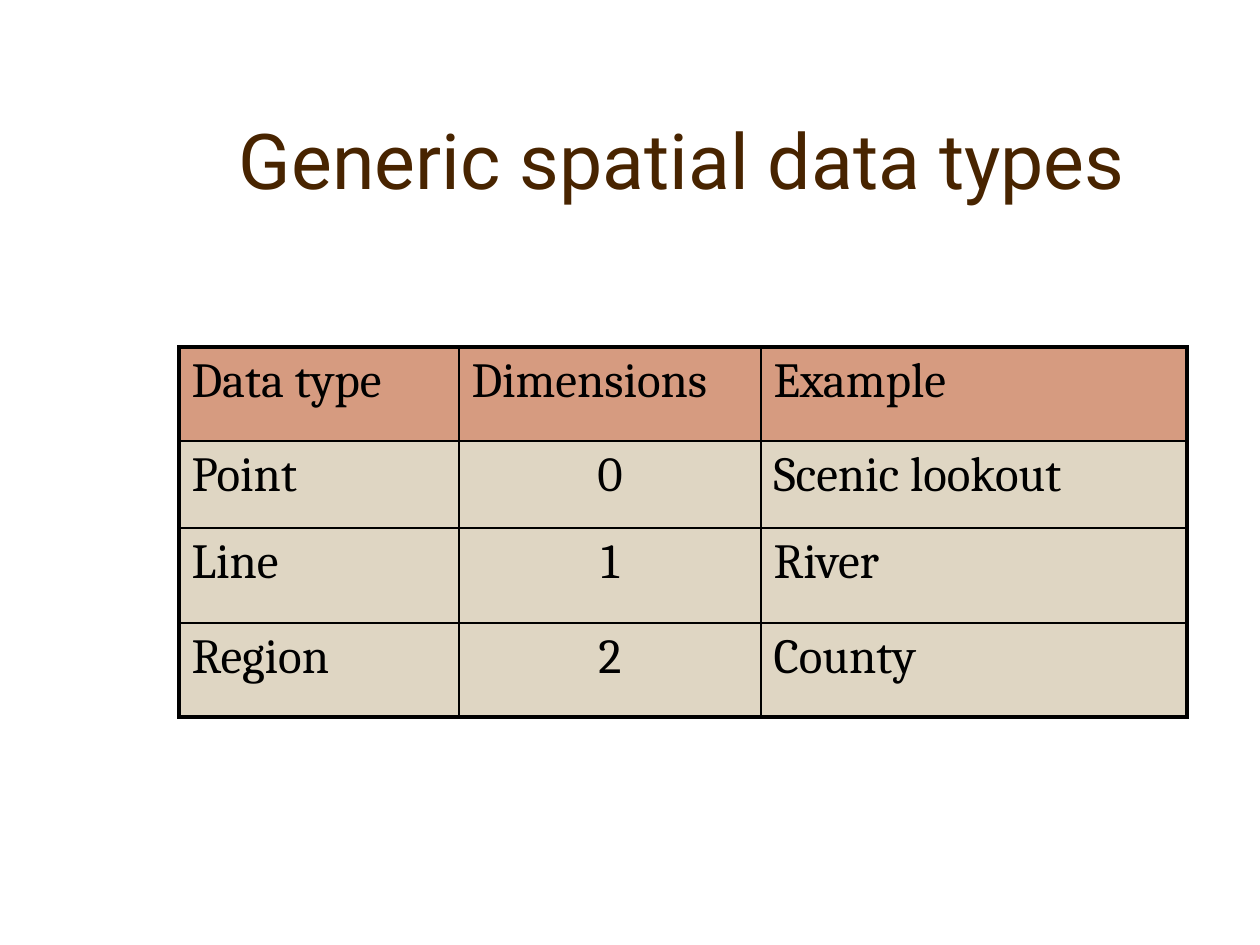
from lxml import etree
from pptx import Presentation
from pptx.dml.color import RGBColor
from pptx.enum.text import MSO_ANCHOR, MSO_AUTO_SIZE, PP_ALIGN
from pptx.oxml.ns import qn
from pptx.util import Inches, Pt

BOTTOM = MSO_ANCHOR.BOTTOM
NO_FIT = MSO_AUTO_SIZE.NONE
LEFT, CENTER = PP_ALIGN.LEFT, PP_ALIGN.CENTER

BLACK, BROWN = "000000", "482400"
HEADER_FILL, BODY_FILL = "D69B80", "DFD6C3"
OUTER, INNER = 2.25, 1

COL_WIDTHS = [280, 302, 426]
ROW_HEIGHTS = [94, 87, 95, 94]
ROWS = [
    ["Data type", "Dimensions", "Example"],
    ["Point", "0", "Scenic lookout"],
    ["Line", "1", "River"],
    ["Region", "2", "County"],
]


def px(n):
    return round(n * Inches(1) / 126)


def rgb(color):
    return RGBColor.from_string(color)


def style(p, font, size, color, align):
    p.alignment = align
    for r in p.runs:
        r.font.name = font
        r.font.size = Pt(size)
        r.font.color.rgb = rgb(color)


def set_space_before(p, percent):
    pPr = p._p.get_or_add_pPr()
    space = etree.SubElement(pPr, qn("a:spcBef"))
    etree.SubElement(space, qn("a:spcPct"), val=str(percent * 1000))


def set_borders(cell, widths):
    """Widths in points by side; the lines go before the fill in the XML."""
    tcPr = cell._tc.get_or_add_tcPr()
    for i, (side, width) in enumerate(widths.items()):
        ln = etree.Element(qn("a:ln" + side), w=str(Pt(width)))
        fill = etree.SubElement(ln, qn("a:solidFill"))
        etree.SubElement(fill, qn("a:srgbClr"), val=BLACK)
        tcPr.insert(i, ln)


def add_title(s, x, y, w, h):
    title = s.shapes.title
    title.left, title.top, title.width, title.height = map(px, (x, y, w, h))
    tf = title.text_frame
    tf.text = "Generic spatial data types"
    tf.auto_size = NO_FIT
    tf.vertical_anchor = BOTTOM
    style(tf.paragraphs[0], "Roboto", 44, BROWN, CENTER)


def add_type_table(s, x, y):
    last_row, last_col = len(ROWS) - 1, len(COL_WIDTHS) - 1
    table = s.shapes.add_table(
        len(ROWS), len(COL_WIDTHS), px(x), px(y),
        px(sum(COL_WIDTHS)), px(sum(ROW_HEIGHTS))).table
    for col, width in zip(table.columns, COL_WIDTHS):
        col.width = px(width)
    for row, height in zip(table.rows, ROW_HEIGHTS):
        row.height = px(height)

    for i, values in enumerate(ROWS):
        for j, value in enumerate(values):
            cell = table.cell(i, j)
            cell.fill.solid()
            cell.fill.fore_color.rgb = rgb(BODY_FILL if i else HEADER_FILL)
            # Heavy frame around the table, thin lines inside
            set_borders(cell, {
                "L": OUTER if j == 0 else INNER,
                "R": OUTER if j == last_col else INNER,
                "T": OUTER if i == 0 else INNER,
                "B": OUTER if i == last_row else INNER,
            })
            cell.text_frame.text = value
            p = cell.text_frame.paragraphs[0]
            style(p, "Cambria", 28, BLACK, CENTER if i and j == 1 else LEFT)
            set_space_before(p, 20)


def main():
    prs = Presentation()
    prs.slide_width, prs.slide_height = Inches(10), Inches(7.5)
    s = prs.slides.add_slide(prs.slide_layouts[5])
    add_title(s, 147, 53, 1071, 158)
    add_type_table(s, 179, 347)
    prs.save("out.pptx")


if __name__ == "__main__":
    main()
